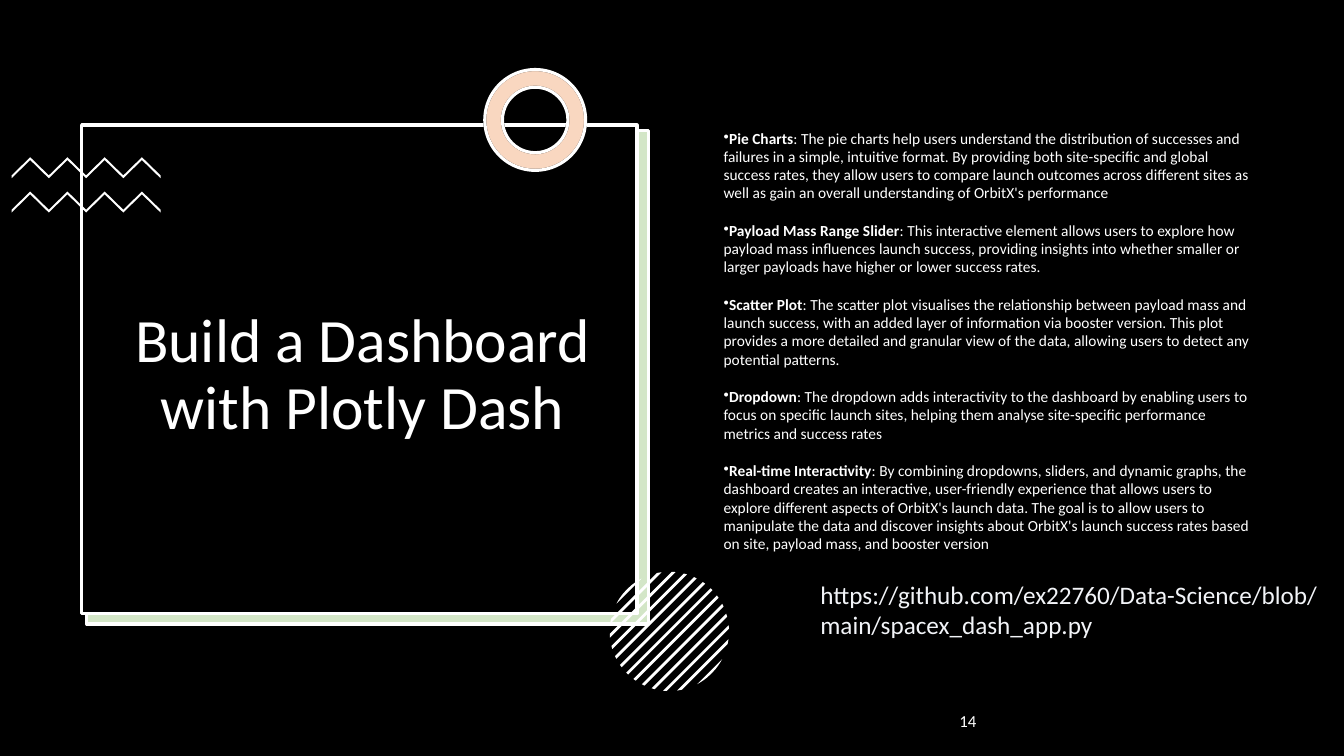
import math
from dataclasses import dataclass
from typing import Optional

import lxml.etree
import pptx
import pptx.dml.color
import pptx.enum.shapes
import pptx.enum.text
import pptx.oxml.ns
import pptx.util

Pt = pptx.util.Pt
Kind = pptx.enum.shapes.MSO_SHAPE
Align = pptx.enum.text.PP_ALIGN
Anchor = pptx.enum.text.MSO_ANCHOR
qn = pptx.oxml.ns.qn


@dataclass(frozen=True)
class Theme:
    font: str = "Calibri"
    black: str = "000000"
    white: str = "FFFFFF"
    green: str = "70AD47"
    orange: str = "ED7D31"
    pale: str = "F2F4F8"
    title: float = 44
    body: float = 11
    link: float = 18
    page: float = 12
    line: float = 2.25


@dataclass(frozen=True)
class Box:
    left: float
    top: float
    width: float
    height: float


@dataclass(frozen=True)
class Panel:
    kind: Kind
    box: Box
    fill: str
    line: Optional[str] = None
    alpha: int = 100


@dataclass(frozen=True)
class Label:
    text: str
    box: Box
    size: float
    color: str
    anchor: Anchor = Anchor.TOP
    align: Align = Align.LEFT
    space: float = 1.0


@dataclass(frozen=True)
class Point:
    head: str
    text: str


THEME = Theme()
RING = Box(346.3, 49.7, 72, 72)
PANELS = [
    Panel(Kind.RECTANGLE, Box(61.2, 93.6, 401, 352.8), THEME.white),
    Panel(Kind.RECTANGLE, Box(62, 93, 401, 352.8), THEME.green, THEME.white, 30),
    Panel(Kind.RECTANGLE, Box(58.3, 89.3, 396.7, 349.2), THEME.black, THEME.white),
]
RINGS = [
    Panel(Kind.DONUT, RING, THEME.white, THEME.black),
    Panel(Kind.DONUT, RING, THEME.orange, THEME.white, 30),
]
LABELS = [
    Label("Build a Dashboard with Plotly Dash", Box(66.2, 109.4, 386, 318.2),
          THEME.title, THEME.white, Anchor.MIDDLE, Align.CENTER, 0.9),
    Label("14", Box(678.2, 500.4, 216, 28.8), THEME.page, THEME.white, Anchor.MIDDLE),
    Label("https://github.com/ex22760/Data-Science/blob/main/spacex_dash_app.py",
          Box(578.9, 410.4, 413.3, 51), THEME.link, THEME.pale),
]
BODY = Box(509.8, 89.3, 391.7, 311)
POINTS = [
    Point("Pie Charts", ": The pie charts help users understand the distribution of successes "
          "and failures in a simple, intuitive format. By providing both site-specific and "
          "global success rates, they allow users to compare launch outcomes across different "
          "sites as well as gain an overall understanding of OrbitX's performance"),
    Point("Payload Mass Range Slider", ": This interactive element allows users to explore how "
          "payload mass influences launch success, providing insights into whether smaller or "
          "larger payloads have higher or lower success rates."),
    Point("Scatter Plot", ": The scatter plot visualises the relationship between payload mass "
          "and launch success, with an added layer of information via booster version. This "
          "plot provides a more detailed and granular view of the data, allowing users to "
          "detect any potential patterns."),
    Point("Dropdown", ": The dropdown adds interactivity to the dashboard by enabling users to "
          "focus on specific launch sites, helping them analyse site-specific performance "
          "metrics and success rates"),
    Point("Real-time Interactivity", ": By combining dropdowns, sliders, and dynamic graphs, "
          "the dashboard creates an interactive, user-friendly experience that allows users to "
          "explore different aspects of OrbitX's launch data. The goal is to allow users to "
          "manipulate the data and discover insights about OrbitX's launch success rates based "
          "on site, payload mass, and booster version"),
]


def rgb(color: str) -> pptx.dml.color.RGBColor:
    return pptx.dml.color.RGBColor.from_string(color)


def place(box: Box) -> tuple:
    return Pt(box.left), Pt(box.top), Pt(box.width), Pt(box.height)


def paint(shape, fill: str, line: Optional[str] = None, alpha: int = 100) -> None:
    shape.shadow.inherit = False
    shape.fill.solid()
    shape.fill.fore_color.rgb = rgb(fill)
    if alpha < 100:
        tint = shape.fill._xPr.find(".//" + qn("a:srgbClr"))
        lxml.etree.SubElement(tint, qn("a:alpha"), val=str(alpha * 1000))
    if line:
        shape.line.color.rgb = rgb(line)
        shape.line.width = Pt(THEME.line)
    else:
        shape.line.fill.background()


def draw_panel(slide, panel: Panel) -> None:
    shape = slide.shapes.add_shape(panel.kind, *place(panel.box))
    if panel.kind == Kind.DONUT:
        shape.adjustments[0] = 0.175
    paint(shape, panel.fill, panel.line, panel.alpha)


def draw_poly(slide, dots: list):
    spots = [(Pt(x), Pt(y)) for x, y in dots]
    form = slide.shapes.build_freeform(*spots[0])
    form.add_line_segments(spots[1:], close=True)
    shape = form.convert_to_shape()
    paint(shape, THEME.white)
    return shape


def zigzag(left: float, top: float) -> list:
    edge = [(left + 13.3 * i, top + 13 * (i % 2 == 0)) for i in range(9)]
    return edge + [(x, y + 2) for x, y in reversed(edge)]


def stripe(mid: tuple, radius: float, near: float, far: float) -> list:
    ends = [max(-radius, min(radius, edge)) for edge in (near, far)]
    steps = 8
    sides = {1: [], -1: []}
    for i in range(steps + 1):
        gap = ends[0] + (ends[1] - ends[0]) * i / steps
        half = math.sqrt(max(0, radius ** 2 - gap ** 2))
        for sign, side in sides.items():
            side.append((mid[0] + (gap + sign * half) / math.sqrt(2),
                         mid[1] + (gap - sign * half) / math.sqrt(2)))
    return sides[1] + sides[-1][::-1]


def style(run, size: float, color: str, bold: bool = False) -> None:
    run.font.name = THEME.font
    run.font.size = Pt(size)
    run.font.bold = bold
    run.font.color.rgb = rgb(color)


def add_frame(slide, box: Box):
    frame = slide.shapes.add_textbox(*place(box)).text_frame
    frame.word_wrap = True
    return frame


def draw_label(slide, label: Label) -> None:
    frame = add_frame(slide, label.box)
    frame.vertical_anchor = label.anchor
    frame.text = label.text
    para = frame.paragraphs[0]
    para.alignment = label.align
    para.line_spacing = label.space
    style(para.runs[0], label.size, label.color)


def draw_body(slide) -> None:
    frame = add_frame(slide, BODY)
    for i, point in enumerate(POINTS):
        para = frame.add_paragraph() if i else frame.paragraphs[0]
        props = para._p.get_or_add_pPr()
        props.set("marL", "0")
        props.set("indent", "0")
        lxml.etree.SubElement(props, qn("a:buChar"), char="•")
        para.line_spacing = 0.98
        para.space_before = Pt(14 if i else 0)
        para.text = point.head
        para.add_run().text = point.text
        for run, bold in zip(para.runs, (True, False)):
            style(run, THEME.body, THEME.white, bold)


def main() -> None:
    deck = pptx.Presentation()
    deck.slide_width, deck.slide_height = Pt(960), Pt(540)
    slide = deck.slides.add_slide(deck.slide_layouts[6])
    slide.background.fill.solid()
    slide.background.fill.fore_color.rgb = rgb(THEME.black)
    for panel in PANELS:
        draw_panel(slide, panel)
    waves = [draw_poly(slide, zigzag(8.3, top)) for top in (112.3, 136.8)]
    slide.shapes.add_group_shape(waves)
    for ring in RINGS:
        draw_panel(slide, ring)
    bands = [draw_poly(slide, stripe((478.1, 451), 42.6, 6.95 * k - 1, 6.95 * k + 1))
             for k in range(-6, 7)]
    slide.shapes.add_group_shape(bands)
    for label in LABELS:
        draw_label(slide, label)
    draw_body(slide)
    deck.save("out.pptx")


if __name__ == "__main__":
    main()
